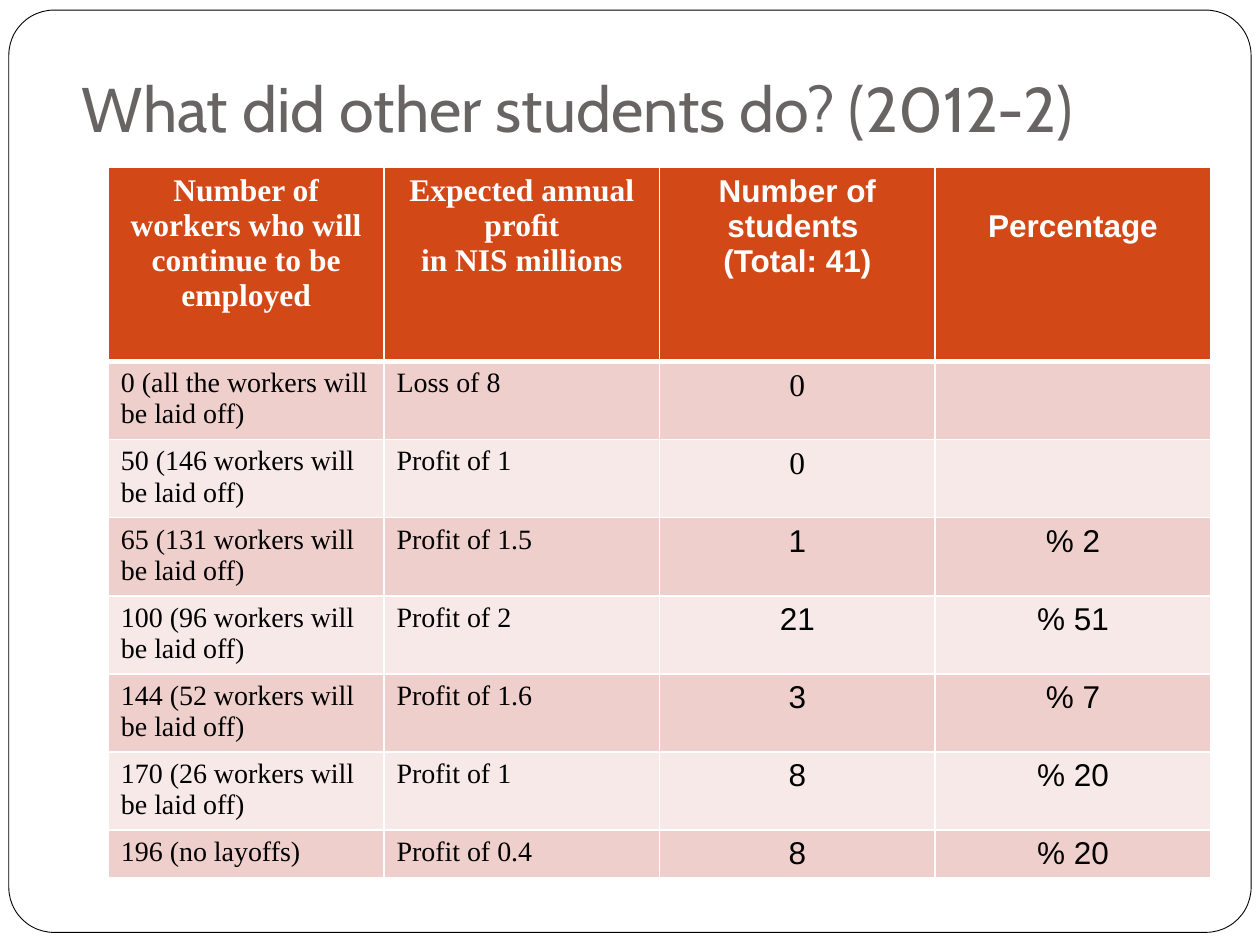
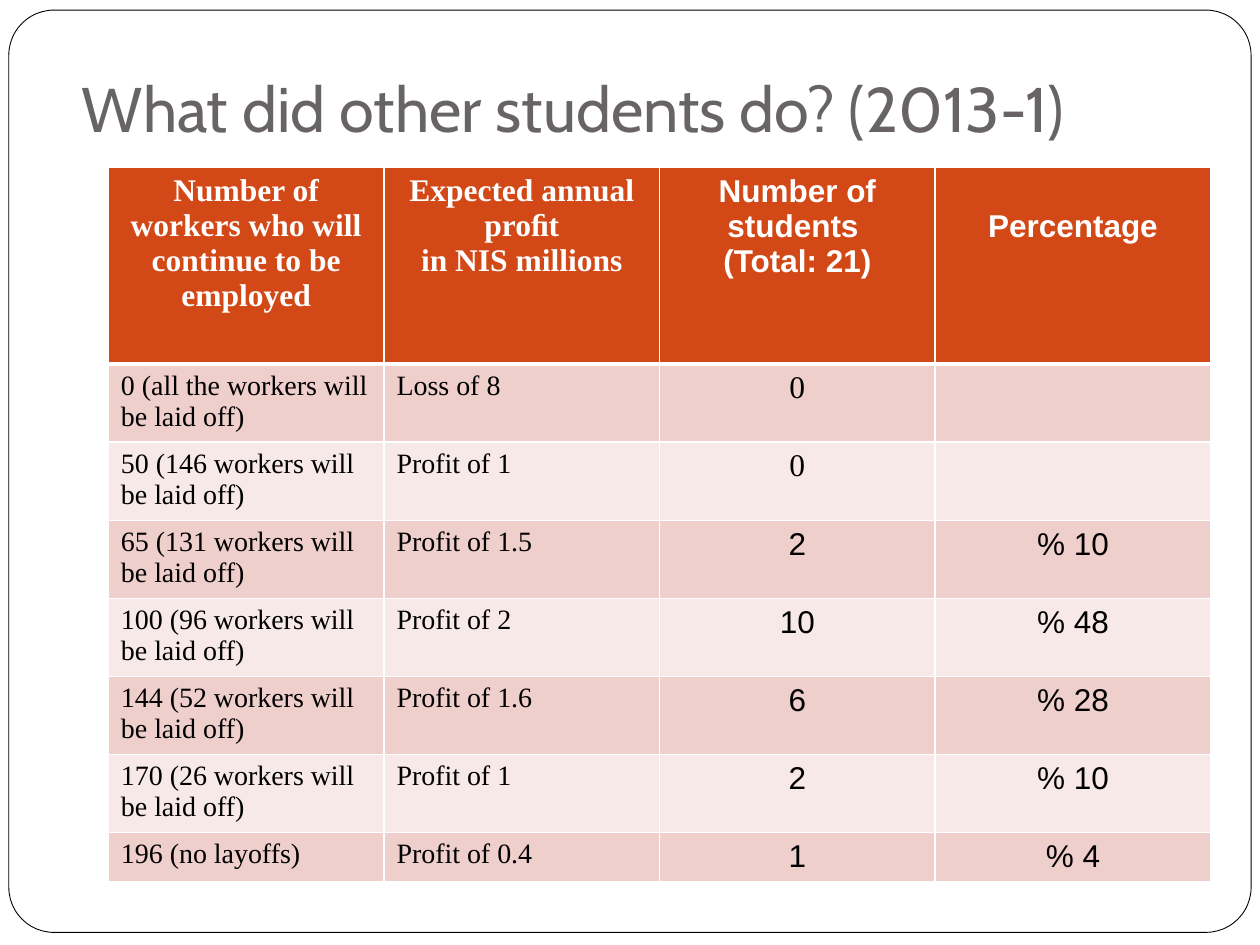
import pptx
import pptx.util
import pptx.dml.color
import pptx.enum.shapes
import pptx.enum.text
import pptx.oxml

Pt = pptx.util.Pt
Inches = pptx.util.Inches
RGBColor = pptx.dml.color.RGBColor
PP_ALIGN = pptx.enum.text.PP_ALIGN

WHITE = RGBColor(0xFF, 0xFF, 0xFF)
BLACK = RGBColor(0x00, 0x00, 0x00)
GREY = RGBColor(0x69, 0x64, 0x64)
ORANGE = RGBColor(0xD3, 0x48, 0x17)
BANDS = [RGBColor(0xEF, 0xCF, 0xCC), RGBColor(0xF7, 0xE9, 0xE8)]
SERIF, SANS, TITLE_FONT = "Times New Roman", "Arial", "Cabin"
NS = "http://schemas.openxmlformats.org/drawingml/2006/main"

OPTIONS = [
    ("0 (all the workers will be laid off)", "Loss of 8"),
    ("50 (146 workers will be laid off)", "Profit of 1"),
    ("65 (131 workers will be laid off)", "Profit of 1.5"),
    ("100 (96 workers will be laid off)", "Profit of 2"),
    ("144 (52 workers will be laid off)", "Profit of 1.6"),
    ("170 (26 workers will be laid off)", "Profit of 1"),
    ("196 (no layoffs)", "Profit of 0.4"),
]
SURVEYS = [
    ("2012-2", 41, 1.54, 0.38,
     [("0", ""), ("0", ""), ("1", "% 2"), ("21", "% 51"),
      ("3", "% 7"), ("8", "% 20"), ("8", "% 20")]),
    ("2013-1", 21, 1.56, 0.39,
     [("0", ""), ("0", ""), ("2", "% 10"), ("10", "% 48"),
      ("6", "% 28"), ("2", "% 10"), ("1", "% 4")]),
]


def add_run(p, text, font, size, color, bold=False):
    r = p.add_run()
    r.text = text
    r.font.name = font
    r.font.size = Pt(size)
    r.font.color.rgb = color
    r.font.bold = bold


def style_cell(cell, fill, top, bottom):
    tcPr = cell._tc.get_or_add_tcPr()
    for side, width in zip("LRTB", (1, 1, top, bottom)):
        tcPr.append(pptx.oxml.parse_xml(
            f'<a:ln{side} xmlns:a="{NS}" w="{Pt(width)}"><a:solidFill>'
            f'<a:srgbClr val="{WHITE}"/></a:solidFill></a:ln{side}>'))
    cell.fill.solid()
    cell.fill.fore_color.rgb = fill


prs = pptx.Presentation()
prs.slide_width, prs.slide_height = Inches(10), Inches(7.5)
W, H = prs.slide_width, prs.slide_height

for term, total, header_height, last_height, counts in SURVEYS:
    s = prs.slides.add_slide(prs.slide_layouts[5])

    sp = s.shapes.add_shape(
        pptx.enum.shapes.MSO_SHAPE.ROUNDED_RECTANGLE,
        Inches(0.07), Inches(0.08), W - Inches(0.14), H - Inches(0.18))
    sp.adjustments[0] = 0.049
    sp.shadow.inherit = False
    sp.fill.solid()
    sp.fill.fore_color.rgb = WHITE
    sp.line.color.rgb = BLACK
    sp.line.width = Pt(0.5)
    s.shapes.element.insert(2, sp.element)

    title = s.shapes.title
    title.left, title.top = Inches(0.55), 0
    title.width, title.height = int(W * 0.9), H // 6
    tf = title.text_frame
    tf.word_wrap = True
    tf.auto_size = pptx.enum.text.MSO_AUTO_SIZE.NONE
    tf.vertical_anchor = pptx.enum.text.MSO_ANCHOR.BOTTOM
    tf.margin_left = tf.margin_right = tf.margin_bottom = Inches(0.1)
    tf.margin_top = Inches(0.05)
    p = tf.paragraphs[0]
    p.alignment = PP_ALIGN.LEFT
    add_run(p, f"What did other students do? ({term})", TITLE_FONT, 36, GREY)

    headers = [
        ("Number of workers who will", "continue to be employed"),
        ("Expected annual proﬁt", "in NIS millions"),
        ("Number of students ", f"(Total: {total})"),
        ("Percentage",),
    ]
    heights = [header_height] + [0.62] * (len(OPTIONS) - 1) + [last_height]
    table = s.shapes.add_table(
        len(heights), len(headers), Inches(0.86), Inches(1.33),
        int(W * 0.875), Inches(sum(heights))).table
    for row, height in zip(table.rows, heights):
        row.height = Inches(height)

    for c, lines in enumerate(headers):
        cell = table.cell(0, c)
        style_cell(cell, ORANGE, 1, 3)
        if len(lines) == 1:
            cell.margin_top = Inches(0.33)
        for i, line in enumerate(lines):
            tf = cell.text_frame
            p = tf.add_paragraph() if i else tf.paragraphs[0]
            p.alignment = PP_ALIGN.CENTER
            add_run(p, line, SERIF if c < 2 else SANS, 18, WHITE, True)

    for r, (option, count) in enumerate(zip(OPTIONS, counts), 1):
        count_font = SANS if count[1] else SERIF
        for c, text in enumerate(option + count):
            cell = table.cell(r, c)
            style_cell(cell, BANDS[(r - 1) % 2], 3 if r == 1 else 1, 1)
            p = cell.text_frame.paragraphs[0]
            if c < 2:
                add_run(p, text, SERIF, 16, BLACK)
            elif text:
                p.alignment = PP_ALIGN.CENTER
                add_run(p, text, count_font, 18, BLACK)

prs.save("out.pptx")
